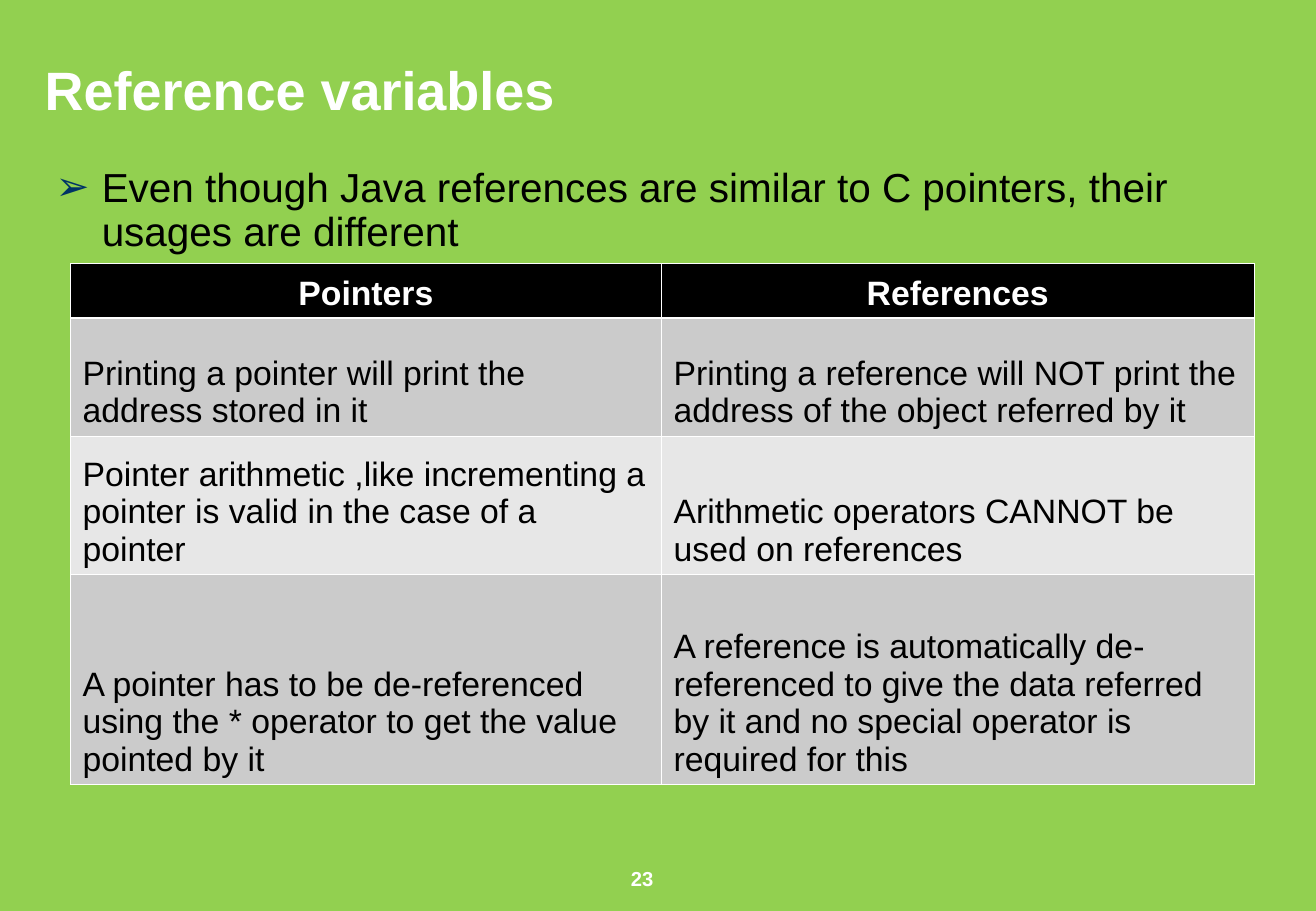
"""Build the slide that compares pointers with references."""
from lxml import etree
from pptx import Presentation, util as u
from pptx.dml.color import RGBColor
from pptx.enum import text as t
from pptx.oxml.ns import qn

TITLE = "Reference variables"
POINT = "Even though Java references are similar to C pointers, their usages are different"
PAGE = "23"
ROWS = [
    ("Pointers", "References"),
    ("Printing a pointer will print the address stored in it",
     "Printing a reference will NOT print the address of the object referred by it"),
    ("Pointer arithmetic ,like incrementing a pointer is valid in the case of a pointer",
     "Arithmetic operators CANNOT be used on references"),
    ("A pointer has to be de-referenced using the * operator to get the value pointed by it",
     "A reference is automatically de-referenced to give the data referred by it "
     "and no special operator is required for this"),
]
WIDTHS = (4.87, 4.88)
HEIGHTS = (0.45, 0.97, 1.14, 1.73)
THEME = {
    "font": "Arial", "back": "92D050", "white": "FFFFFF", "black": "000000",
    "mark": "003366", "bands": ("E7E7E7", "CBCBCB"),
    "title": 32, "body": 24, "cell": 20, "page": 12, "thin": 0.45, "thick": 1.47,
}
MID, LEFT = t.PP_ALIGN.CENTER, t.PP_ALIGN.LEFT


def put(obj, vals):
    for key, val in vals.items():
        setattr(obj, key, val)


def node(top, tag, **vals):
    return etree.SubElement(top, qn("a:" + tag), vals)


def write(frame, words, size, color, bold=False, **form):
    para = frame.paragraphs[0]
    put(para, form)
    run = para.add_run()
    run.text = words
    put(run.font, {"name": THEME["font"], "size": u.Pt(size), "bold": bold})
    run.font.color.rgb = RGBColor.from_string(THEME[color])
    return para


def box(slide, area, anchor=t.MSO_ANCHOR.TOP):
    frame = slide.shapes.add_textbox(*map(u.Inches, area)).text_frame
    put(frame, {"word_wrap": True, "vertical_anchor": anchor})
    return frame


def shade(para):
    fill = para.runs[0].font._element.find(qn("a:solidFill"))
    list_ = etree.Element(qn("a:effectLst"))
    fill.addnext(list_)
    drop = node(list_, "outerShdw", dist="25400", dir="2700000")
    node(drop, "srgbClr", val=THEME["black"])


def bullet(para, mark, indent):
    props = para._p.get_or_add_pPr()
    put_in = u.Inches(indent)
    props.set("marL", str(put_in))
    props.set("indent", str(-put_in))
    node(node(props, "buClr"), "srgbClr", val=THEME["mark"])
    node(props, "buFont", typeface=THEME["font"])
    node(props, "buChar", char=mark)


def edge(cell, row):
    props = cell._tc.get_or_add_tcPr()
    thick = {0: "lnB", 1: "lnT"}.get(row)
    for spot, side in enumerate(("lnL", "lnR", "lnT", "lnB")):
        width = THEME["thick" if side == thick else "thin"]
        line = etree.Element(qn("a:" + side), w=str(int(u.Pt(width))))
        node(node(line, "solidFill"), "srgbClr", val=THEME["white"])
        props.insert(spot, line)


def grid(slide):
    area = (0.58, 2.17, sum(WIDTHS), sum(HEIGHTS))
    table = slide.shapes.add_table(len(ROWS), len(WIDTHS), *map(u.Inches, area)).table
    for col, width in zip(table.columns, WIDTHS):
        col.width = u.Inches(width)
    for row, words in enumerate(ROWS):
        table.rows[row].height = u.Inches(HEIGHTS[row])
        head = row == 0
        for col, word in enumerate(words):
            cell = table.cell(row, col)
            cell.vertical_anchor = t.MSO_ANCHOR.BOTTOM
            cell.fill.solid()
            tone = THEME["black"] if head else THEME["bands"][row % 2]
            cell.fill.fore_color.rgb = RGBColor.from_string(tone)
            write(cell.text_frame, word, THEME["cell"], "white" if head else "black", head,
                  alignment=MID if head else LEFT, space_before=u.Pt(5))
            edge(cell, row)


def main():
    deck = Presentation()
    put(deck, {"slide_width": u.Inches(10.84), "slide_height": u.Inches(7.5)})
    slide = deck.slides.add_slide(deck.slide_layouts[6])
    back = slide.background.fill
    back.solid()
    back.fore_color.rgb = RGBColor.from_string(THEME["back"])

    page = box(slide, (4.83, 7.08, 0.92, 0.52))
    shade(write(page, PAGE, THEME["page"], "white", True, alignment=MID))
    title = box(slide, (0.27, 0.4, 10.29, 0.67), t.MSO_ANCHOR.MIDDLE)
    shade(write(title, TITLE, THEME["title"], "white", True))
    body = box(slide, (0.36, 1.33, 9.39, 0.83))
    point = write(body, POINT, THEME["body"], "black", line_spacing=0.9, space_before=u.Pt(6))
    bullet(point, "➢", 0.38)
    grid(slide)
    deck.save("out.pptx")


if __name__ == "__main__":
    main()
